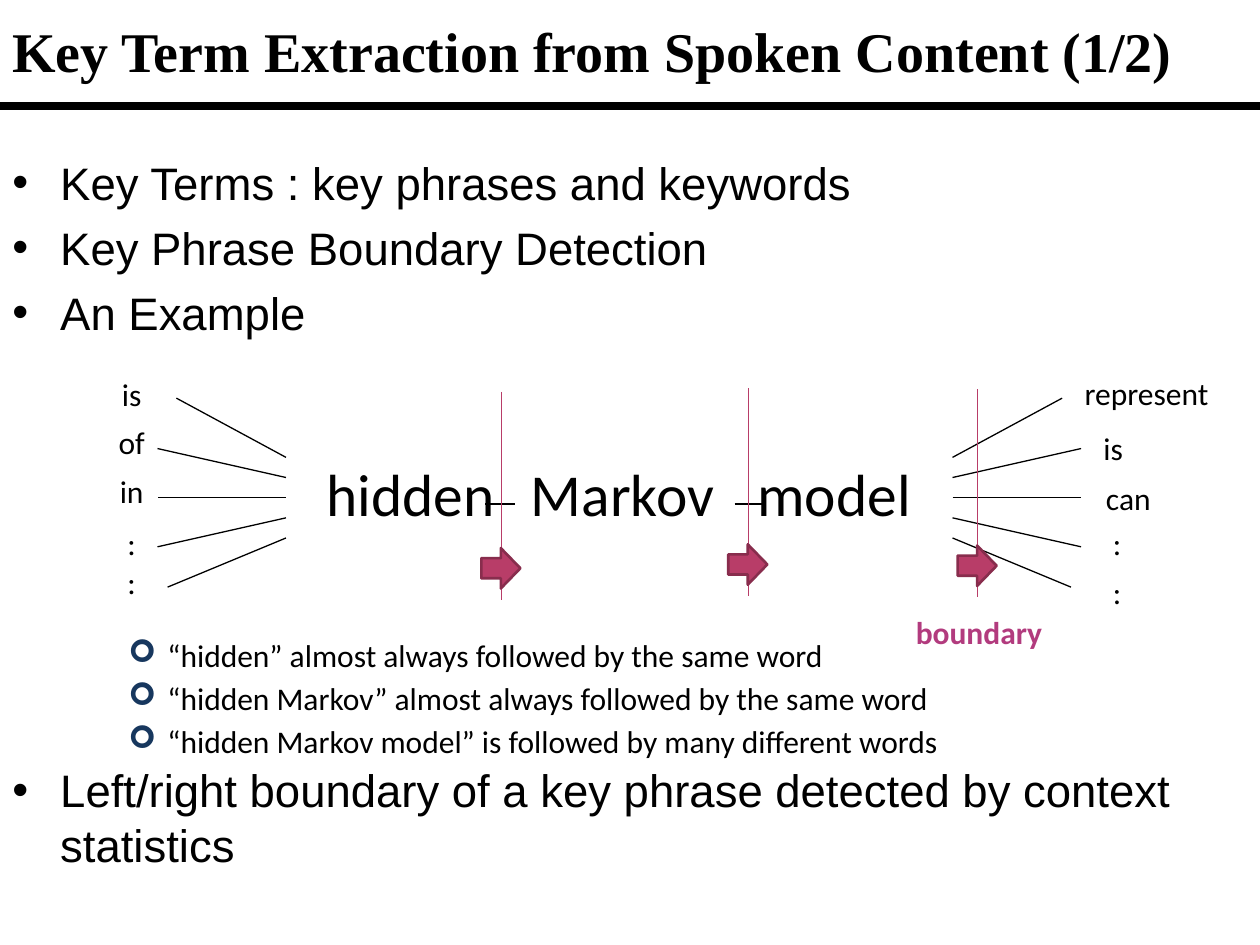
from lxml.etree import SubElement
from pptx import Presentation
from pptx.dml.color import RGBColor
from pptx.enum.shapes import MSO_CONNECTOR as Connector, MSO_SHAPE as Shape
from pptx.enum.text import MSO_ANCHOR as Anchor, PP_ALIGN as Align
from pptx.oxml.ns import qn
from pptx.util import Inches, Pt

BLACK = RGBColor(0x00, 0x00, 0x00)
NAVY = RGBColor(0x17, 0x37, 0x5E)
PLUM = RGBColor(0xB2, 0x3B, 0x7E)
CRIMSON = RGBColor(0xB8, 0x3D, 0x68)
DARK_CRIMSON = RGBColor(0x88, 0x2D, 0x4D)

WIDTH, HEIGHT = 10, 7.5
LABEL_HEIGHT = 0.4
FAN_MIDDLE, FAN_STEP = 3.95, 0.16
LEFT_HUB, RIGHT_HUB = 2.27, 7.56
# Horizontal reach and outer height of each line of a fan
FAN_ENDS = [(0.87, 3.16), (1.02, 3.56), (1.02, 3.95), (1.02, 4.34), (0.94, 4.66)]
LEFT_WORDS = [("is", 2.93), ("of", 3.31), ("in", 3.7), (":", 4.11), (":", 4.42)]
RIGHT_WORDS = [
    ("represent", 8.43, 2.92, 1.34),
    ("is", 8.6, 3.36, 0.47),
    ("can", 8.6, 3.75, 0.71),
    (":", 8.59, 4.11, 0.55),
    (":", 8.59, 4.5, 0.55),
]
PHRASE = ["hidden", "Markov", "model"]
PHRASE_LEFT, PHRASE_COLUMN = 2.42, 1.68
BOUNDARIES = [(3.98, 3.11), (5.94, 3.08), (7.76, 3.09)]
TOPICS = [
    "Key Terms : key phrases and keywords",
    "Key Phrase Boundary Detection",
    "An Example",
]
CONCLUSION = "Left/right boundary of a key phrase detected by context statistics"
FINDINGS = [
    "“hidden” almost always followed by the same word",
    "“hidden Markov” almost always followed by the same word",
    "“hidden Markov model” is followed by many different words",
]


def add_text(slide, lines, left, top, width, height, size, font="Calibri",
             color=BLACK, bold=False, align=Align.LEFT, anchor=Anchor.TOP):
    box = slide.shapes.add_textbox(*map(Inches, (left, top, width, height)))
    frame = box.text_frame
    frame.word_wrap = True
    frame.vertical_anchor = anchor
    frame.text = "\n".join(lines)
    for paragraph in frame.paragraphs:
        paragraph.alignment = align
        paragraph.font.name = font
        paragraph.font.size = Pt(size)
        paragraph.font.bold = bold
        paragraph.font.color.rgb = color
    return frame


def add_label(slide, word, left, top, width):
    add_text(slide, [word], left, top, width, LABEL_HEIGHT, 18, align=Align.CENTER)


def set_bullets(frame, mark, font, margin, hang, space, color=BLACK):
    """Give every paragraph a bullet with a hanging indent."""
    for paragraph in frame.paragraphs:
        paragraph.space_before = Pt(space)
        properties = paragraph._p.get_or_add_pPr()
        properties.set("marL", str(Inches(margin)))
        properties.set("indent", str(-Inches(hang)))
        bullet_color = SubElement(properties, qn("a:buClr"))
        SubElement(bullet_color, qn("a:srgbClr"), val=str(color))
        SubElement(properties, qn("a:buFont"), typeface=font)
        SubElement(properties, qn("a:buChar"), char=mark)
        # The schema wants the default run properties after the bullet
        properties.append(properties.find(qn("a:defRPr")))


def add_line(slide, x1, y1, x2, y2, color=BLACK, weight=0.75):
    line = slide.shapes.add_connector(
        Connector.STRAIGHT, *map(Inches, (x1, y1, x2, y2)))
    line.line.color.rgb = color
    line.line.width = Pt(weight)
    SubElement(line._element.spPr, qn("a:effectLst"))


def add_topics(slide, lines, top, height):
    frame = add_text(slide, lines, 0, top, WIDTH, height, 26, "Arial")
    set_bullets(frame, "•", "Arial", 0.38, 0.38, 6)


def add_fan(slide, hub, direction):
    """Spread lines from the hub, to the left (-1) or to the right (1)."""
    for row, (reach, outer) in enumerate(FAN_ENDS):
        inner = FAN_MIDDLE + (row - 2) * FAN_STEP
        add_line(slide, hub, inner, hub + direction * reach, outer)


def add_boundary(slide, x, top):
    add_line(slide, x, top, x, top + 1.65, CRIMSON)
    arrow = slide.shapes.add_shape(
        Shape.RIGHT_ARROW, *map(Inches, (x - 0.16, top + 1.24, 0.31, 0.32)))
    arrow.shadow.inherit = False
    arrow.fill.solid()
    arrow.fill.fore_color.rgb = CRIMSON
    arrow.line.color.rgb = DARK_CRIMSON
    arrow.line.width = Pt(1.5)


def add_example(slide):
    for column, word in enumerate(PHRASE):
        add_text(slide, [word], PHRASE_LEFT + column * PHRASE_COLUMN, 3.58,
                 PHRASE_COLUMN, 0.67, 34, align=Align.CENTER)
    add_fan(slide, LEFT_HUB, -1)
    add_fan(slide, RIGHT_HUB, 1)
    for word, top in LEFT_WORDS:
        add_label(slide, word, 0.77, top, 0.55)
    for label in RIGHT_WORDS:
        add_label(slide, *label)
    for dash in (3.85, 5.83):
        add_line(slide, dash, 4, dash + 0.24, 4)
    for x, top in BOUNDARIES:
        add_boundary(slide, x, top)
    add_text(slide, ["boundary"], 7.17, 4.82, 1.38, LABEL_HEIGHT, 18,
             color=PLUM, bold=True)


def main():
    deck = Presentation()
    deck.slide_width, deck.slide_height = Inches(WIDTH), Inches(HEIGHT)
    slide = deck.slides.add_slide(deck.slide_layouts[6])

    add_text(slide, ["Key Term Extraction from Spoken Content (1/2)"],
             0, 0, WIDTH, 0.79, 32, "Times New Roman", bold=True,
             anchor=Anchor.MIDDLE)
    add_line(slide, 0, 0.84, WIDTH, 0.84, weight=4.5)
    add_topics(slide, TOPICS, 1.18, 1.6)
    add_example(slide)
    findings = add_text(slide, FINDINGS, 0.01, 5, WIDTH - 0.01, 1.09, 18)
    set_bullets(findings, "➢", "Wingdings", 1.22, 0.31, 3, NAVY)
    add_topics(slide, [CONCLUSION], 6, 1.1)

    deck.save("out.pptx")


if __name__ == "__main__":
    main()
